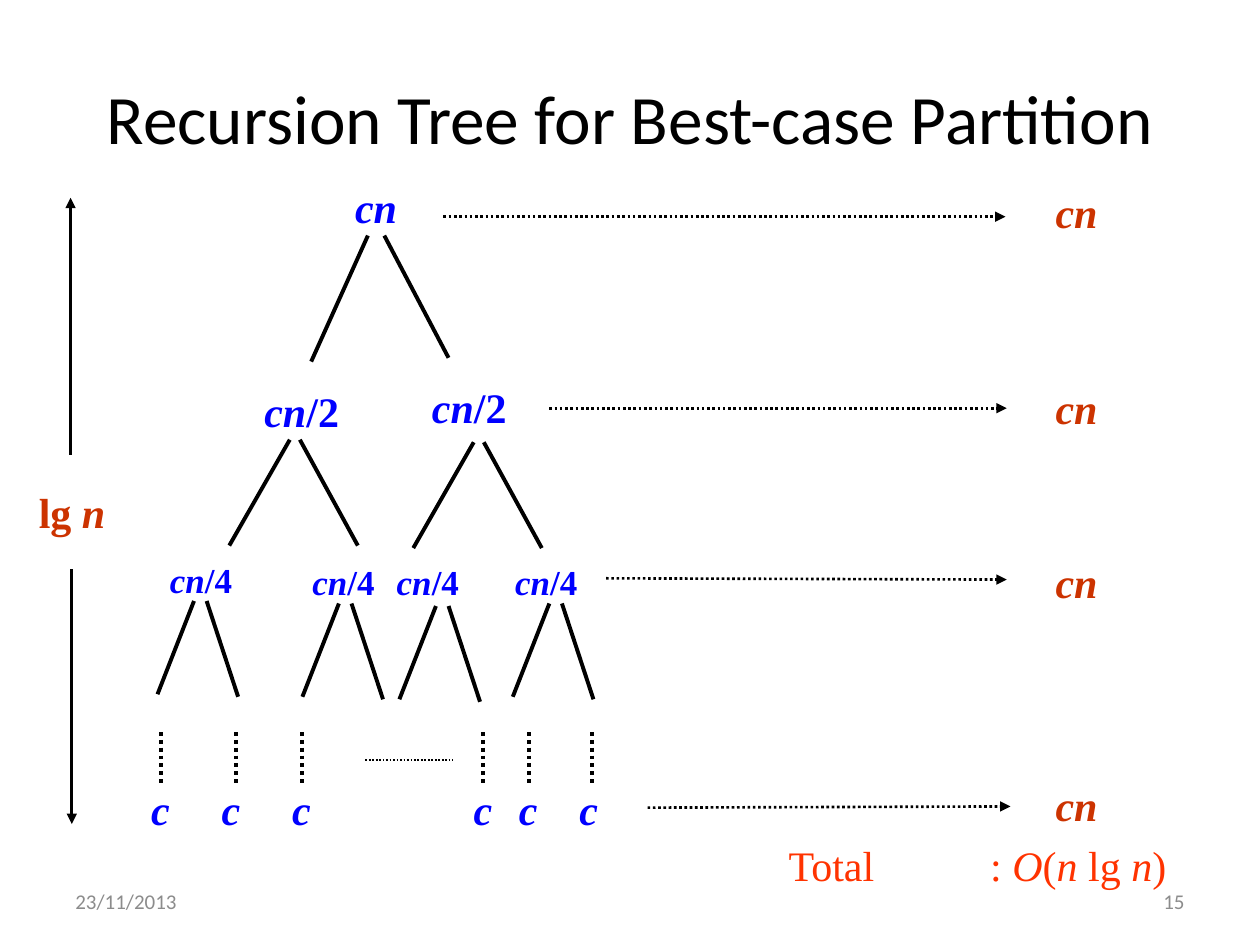
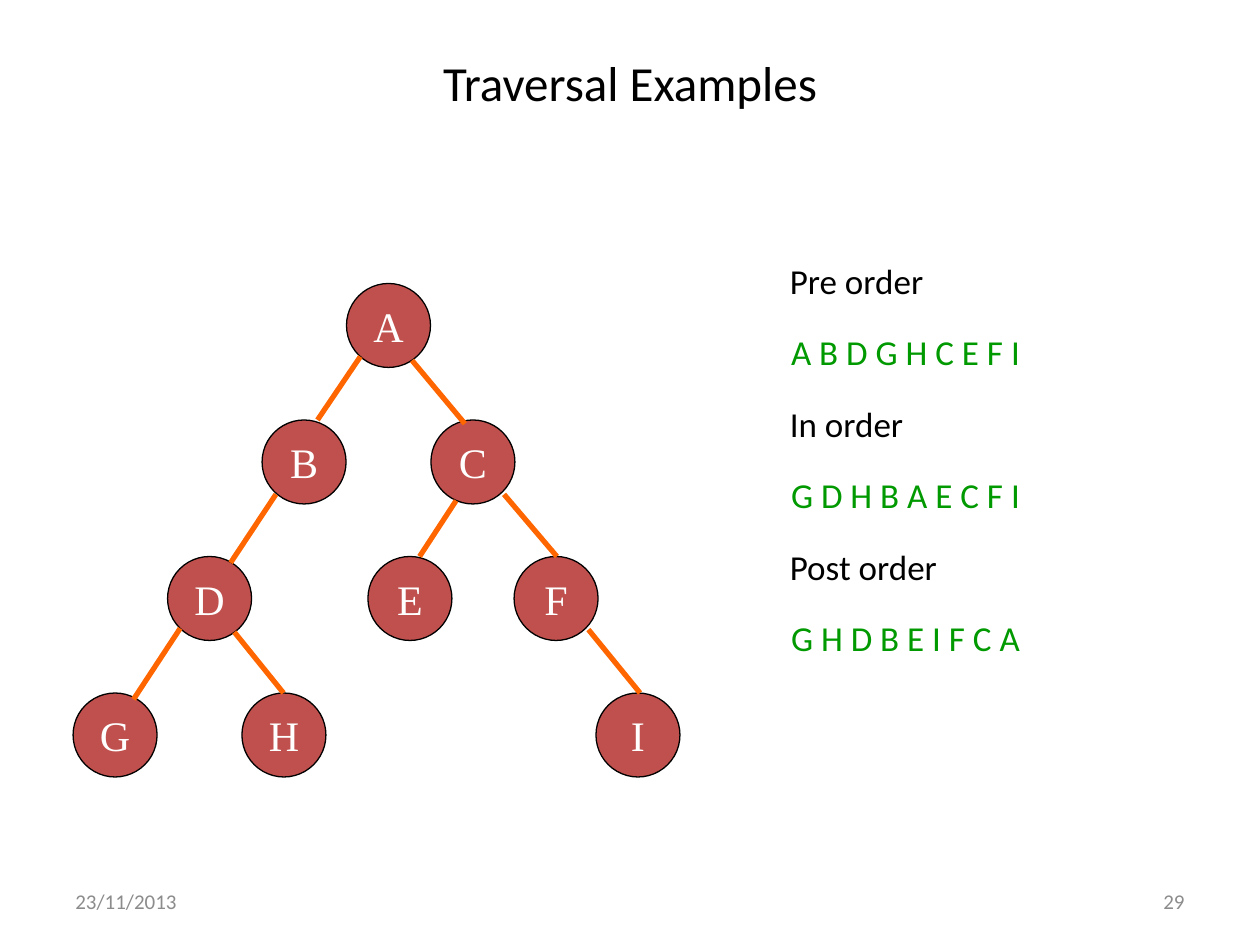
from lxml import etree
from pptx import Presentation, util as u
from pptx.dml.color import RGBColor
from pptx.enum import dml, shapes, text
from pptx.oxml.ns import qn

BLACK, WHITE, GREY = "000000", "FFFFFF", "8C8C8C"
BLUE, RUST, RED = "0000FF", "CC3300", "FF3300"
BRICK, ORANGE, GREEN = "C0504D", "FF6600", "009900"
SANS, SERIF = "Calibri", "Times New Roman"
DATE = "23/11/2013"
LEFT, MID, RIGHT = text.PP_ALIGN.LEFT, text.PP_ALIGN.CENTER, text.PP_ALIGN.RIGHT

# Text between asterisks is italic.
# Each level: label, size, width, height, left and top of its labels
LEVELS = [
    ("*cn*", 24, 0.53, 0.5, [(2.72, 1.39)]),
    ("*cn*/2", 24, 0.8, 0.5, [(2, 3.01), (3.33, 2.98)]),
    ("*cn*/4", 20, 0.71, 0.43, [(1.25, 4.38), (2.38, 4.4), (3.05, 4.4), (3.99, 4.4)]),
    ("*c*", 24, 0.35, 0.5, [(x, 6.17) for x in (1.1, 1.66, 2.22, 3.66, 4.02, 4.5)]),
]
# Each fork: left leg's run and drop, gap to right leg, right leg's run and drop, tops
FORKS = [
    (-0.45, 1, 0.13, 0.51, 0.97, [(2.92, 1.87)]),
    (-0.48, 0.84, 0.08, 0.46, 0.84, [(2.3, 3.49), (3.76, 3.51)]),
    (-0.29, 0.74, 0.1, 0.25, 0.76,
     [(1.54, 4.77), (2.69, 4.79), (3.46, 4.81), (4.36, 4.79)]),
]
DOTS = [1.28, 1.87, 2.4, 3.83, 4.2, 4.7]
# Each cost: top of its label, start and end of the arrow to it
COSTS = [
    (1.43, (3.52, 1.72), (7.98, 1.72)),
    (2.99, (4.36, 3.24), (7.99, 3.24)),
    (4.37, (4.81, 4.59), (7.99, 4.6)),
    (6.14, (5.14, 6.41), (8.02, 6.4)),
]
DEPTH = [((0.56, 3.61), (0.56, 1.57)), ((0.57, 4.52), (0.57, 6.54))]

# Each row of nodes: name and left edge
ROWS = [
    {"A": 2.75},
    {"B": 2.08, "C": 3.42},
    {"D": 1.33, "E": 2.92, "F": 4.08},
    {"G": 0.58, "H": 1.92, "I": 4.73},
]
NODE, TOP, STEP = 2 / 3, 2.25, 13 / 12
# Each edge: parent and child, with the offset of its end inside each node
EDGES = [
    ("AB", (0.11, 0.58), (0.44, 0)), ("BD", (0.11, 0.59), (0.5, 0.05)),
    ("DG", (0.1, 0.57), (0.48, 0.05)), ("AC", (0.52, 0.61), (0.27, 0.03)),
    ("CF", (0.58, 0.59), (0.34, 0)), ("FI", (0.59, 0.58), (0.35, 0)),
    ("DH", (0.53, 0.6), (0.33, 0)), ("CE", (0.2, 0.64), (0.41, 0)),
]
ORDERS = [
    ("Pre order", 1.36, "A B D G H C E F I"),
    ("In order", 1.16, "G D H B A E C F I"),
    ("Post order", 1.48, "G H D B E I F C A"),
]
GAP = 17 / 30


def rgb(code):
    return RGBColor.from_string(code)


def place(*nums):
    return [u.Inches(n) for n in nums]


def write(frame, words, size, color, font=SERIF, bold=False, align=LEFT):
    para = frame.paragraphs[0]
    para.alignment = align
    for i, part in enumerate(words.split("*")):
        if part:
            run = para.add_run()
            run.text = part
            face = run.font
            face.name, face.size, face.bold = font, u.Pt(size), bold
            face.italic = i % 2 == 1
            face.color.rgb = rgb(color)


def label(on, box, words, size, color, **style):
    """Add a one-line text box that fits its text."""
    frame = on.add_textbox(*place(*box)).text_frame
    frame.word_wrap = False
    frame.auto_size = text.MSO_AUTO_SIZE.SHAPE_TO_FIT_TEXT
    write(frame, words, size, color, **style)


def line(on, start, end, width, color=BLACK, dots=False, arrow=False):
    link = on.add_connector(shapes.MSO_CONNECTOR.STRAIGHT, *place(*start, *end))
    link.line.color.rgb = rgb(color)
    link.line.width = u.Pt(width)
    if dots:
        link.line.dash_style = dml.MSO_LINE.ROUND_DOT
    if arrow:
        tail = etree.SubElement(link.line._get_or_add_ln(), qn("a:tailEnd"))
        tail.set("type", "triangle")
    etree.SubElement(link._element.spPr, qn("a:effectLst"))


def new(deck, title, size, height, number):
    """Add a slide with its title, date and number."""
    slide = deck.slides.add_slide(deck.slide_layouts[5])
    head = slide.shapes.title
    head.left, head.top, head.width, head.height = place(0.5, 0.3, 9, height)
    head.text_frame.vertical_anchor = text.MSO_ANCHOR.MIDDLE
    write(head.text_frame, title, size, BLACK, SANS, align=MID)
    for left, words, align in ((0.5, DATE, LEFT), (7.17, number, RIGHT)):
        frame = slide.shapes.add_textbox(*place(left, 6.95, 2.33, 0.4)).text_frame
        frame.word_wrap = True
        frame.vertical_anchor = text.MSO_ANCHOR.MIDDLE
        write(frame, words, 12, GREY, SANS, align=align)
    return slide.shapes


def total(on):
    frame = on.add_textbox(*place(6.16, 6.61, 3.22, 0.5)).text_frame
    frame.word_wrap = True
    props = frame.paragraphs[0]._p.get_or_add_pPr()
    tabs = etree.SubElement(props, qn("a:tabLst"))
    etree.SubElement(tabs, qn("a:tab"), pos=str(u.Inches(1.6)), algn="l")
    write(frame, "Total\t: *O*(*n *lg *n*)", 24, RED)


def costs(deck):
    on = new(deck, "Recursion Tree for Best-case Partition", 39.6, 1.25, "15")
    tree = on.add_group_shape().shapes
    for words, size, wide, high, spots in LEVELS:
        for x, y in spots:
            label(tree, (x, y, wide, high), words, size, BLUE, bold=True)
    for run, drop, gap, run2, drop2, tops in FORKS:
        for x, y in tops:
            line(tree, (x, y), (x + run, y + drop), 2.25)
            line(tree, (x + gap, y), (x + gap + run2, y + drop2), 2.25)
    for x in DOTS:
        line(tree, (x, 5.81), (x, 6.23), 2.25, dots=True)
    line(tree, (2.9, 6.03), (3.59, 6.03), 1, dots=True)

    for y, start, end in COSTS:
        line(on, start, end, 1.5, dots=True, arrow=True)
        label(on, (8.28, y, 0.53, 0.5), "*cn*", 24, RUST, bold=True)
    for start, end in DEPTH:
        line(on, start, end, 1.5, arrow=True)
    label(on, (0.21, 3.81, 0.73, 0.5), "lg *n*", 24, RUST, bold=True)
    total(on)


def walks(deck):
    on = new(deck, "Traversal Examples", 28, 0.7, "29")
    tree = on.add_group_shape().shapes
    spots = {}
    for i, row in enumerate(ROWS):
        for name, x in row.items():
            y = TOP + i * STEP
            spots[name] = x, y
            node = tree.add_shape(shapes.MSO_SHAPE.OVAL, *place(x, y, NODE, NODE))
            node.shadow.inherit = False
            node.fill.solid()
            node.fill.fore_color.rgb = rgb(BRICK)
            node.line.color.rgb = rgb(BLACK)
            node.line.width = u.Pt(0.75)
            node.text_frame.word_wrap = False
            node.text_frame.vertical_anchor = text.MSO_ANCHOR.MIDDLE
            write(node.text_frame, name, 24, WHITE, align=MID)
    for pair, *ends in EDGES:
        start, end = [(spots[name][0] + dx, spots[name][1] + dy)
                      for name, (dx, dy) in zip(pair, ends)]
        line(tree, start, end, 3, ORANGE)
    for i, (name, wide, walk) in enumerate(ORDERS):
        y = 2.01 + 2 * GAP * i
        label(on, (6.17, y, wide, 0.43), name, 20, BLACK, font=SANS)
        label(on, (6.18, y + GAP, 2.44, 0.43), walk, 20, GREEN, font=SANS)


def main():
    deck = Presentation()
    deck.slide_width, deck.slide_height = place(10, 7.5)
    costs(deck)
    walks(deck)
    deck.save("out.pptx")


if __name__ == "__main__":
    main()
